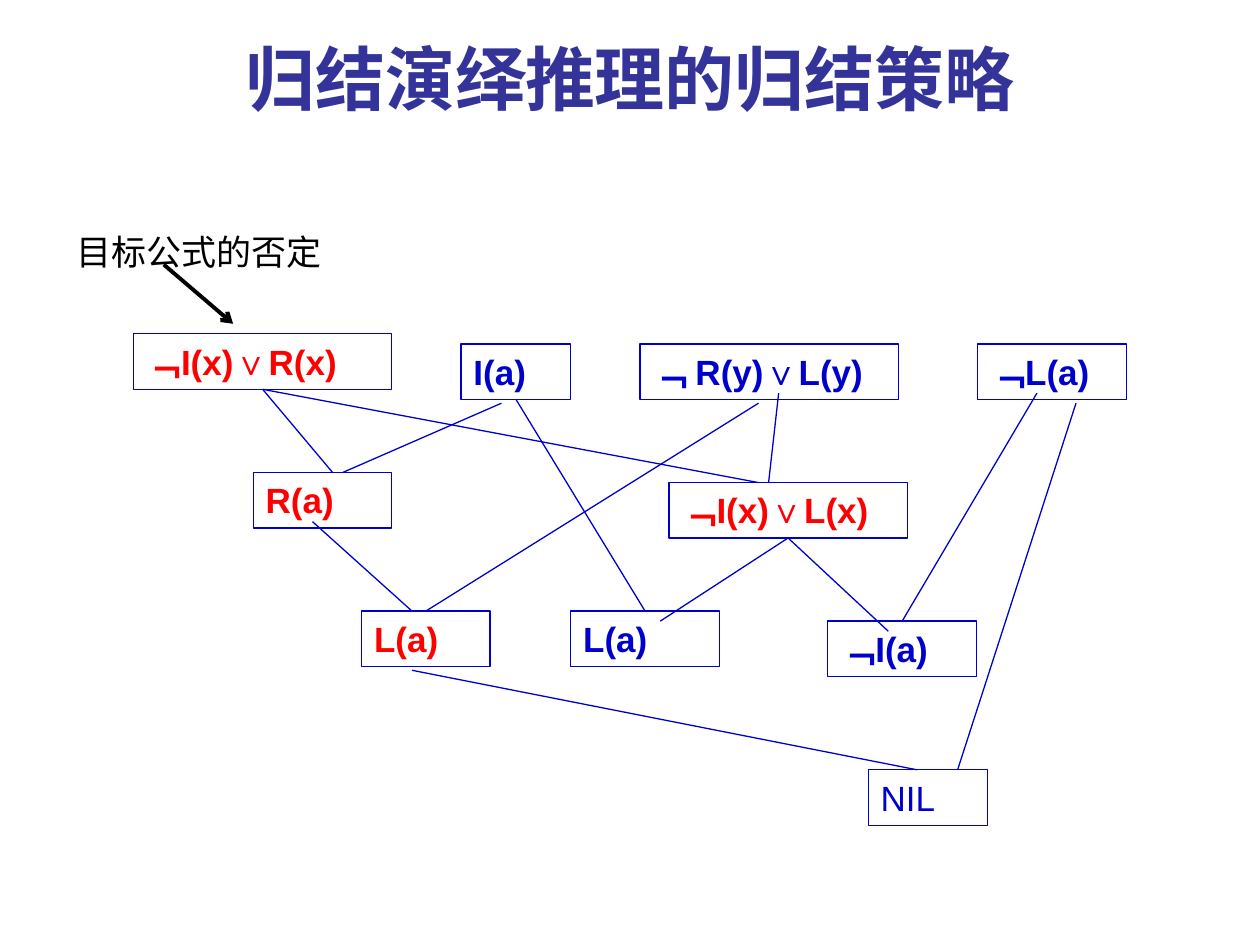
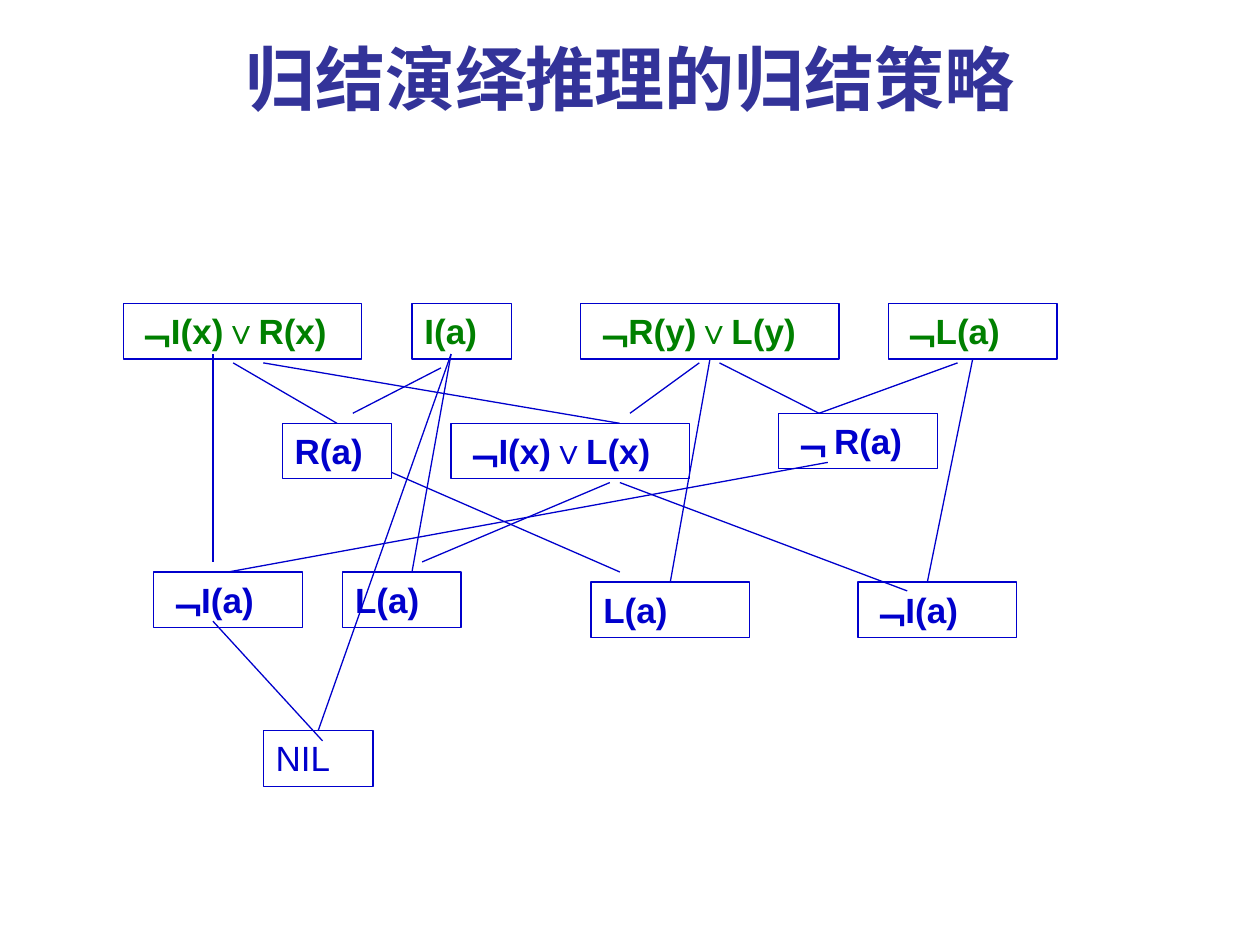
from lxml import etree
from pptx import Presentation
from pptx.dml.color import RGBColor
from pptx.enum.dml import MSO_LINE
from pptx.enum.shapes import MSO_CONNECTOR, MSO_SHAPE
from pptx.enum.text import MSO_ANCHOR, MSO_AUTO_SIZE, PP_ALIGN
from pptx.oxml.ns import qn
from pptx.util import Inches, Pt

RECTANGLE = MSO_SHAPE.RECTANGLE
STRAIGHT = MSO_CONNECTOR.STRAIGHT
SOLID = MSO_LINE.SOLID
TOP, MIDDLE = MSO_ANCHOR.TOP, MSO_ANCHOR.MIDDLE
LEFT, CENTER = PP_ALIGN.LEFT, PP_ALIGN.CENTER
GROW = MSO_AUTO_SIZE.SHAPE_TO_FIT_TEXT

COLOURS = {
    "title": "333399",
    "blue": "0000CC",
    "red": "FF0000",
    "green": "008000",
    "black": "000000",
}
TITLE = "归结演绎推理的归结策略"
BOX_HEIGHT = 0.44
JOIN_DISTANCE = 0.05
TOP_SITE, BOTTOM_SITE = 0, 2

SUPPORT_CLAUSES = [
    ("﹁I(x)∨R(x)", 1.06, 2.65, 2.05, "red"),
    ("I(a)", 3.66, 2.73, 0.87, "blue"),
    ("﹁ R(y)∨L(y)", 5.08, 2.73, 2.05, "blue"),
    ("﹁L(a)", 7.76, 2.73, 1.18, "blue"),
    ("R(a)", 2.01, 3.75, 1.1, "red"),
    ("﹁I(x)∨L(x)", 5.31, 3.83, 1.89, "red"),
    ("L(a)", 2.87, 4.85, 1.02, "red"),
    ("L(a)", 4.53, 4.85, 1.18, "blue"),
    ("﹁I(a)", 6.57, 4.93, 1.18, "blue"),
    ("NIL", 6.89, 6.11, 0.95, "blue"),
]
SUPPORT_LINKS = [
    ((2.09, 3.12), (2.64, 3.75)),
    ((3.98, 3.2), (2.72, 3.75)),
    ((2.09, 3.12), (6.02, 3.83)),
    ((6.18, 3.12), (6.1, 3.83)),
    ((2.48, 4.14), (3.27, 4.85)),
    ((6.02, 3.2), (3.43, 4.85)),
    ((4.06, 3.12), (5.08, 4.85)),
    ((6.26, 4.3), (5.24, 4.93)),
    ((6.26, 4.3), (7.05, 5.01)),
    ((8.23, 3.12), (7.13, 4.93)),
    ((3.27, 5.32), (7.28, 6.11)),
    ((8.54, 3.2), (7.6, 6.11)),
]

INPUT_CLAUSES = [
    ("﹁I(x)∨R(x)", 0.98, 2.41, 1.89, "green"),
    ("I(a)", 3.27, 2.41, 0.79, "green"),
    ("﹁R(y)∨L(y)", 4.61, 2.41, 2.05, "green"),
    ("﹁L(a)", 7.05, 2.41, 1.34, "green"),
    ("R(a)", 2.24, 3.36, 0.87, "blue"),
    ("﹁I(x)∨L(x)", 3.58, 3.36, 1.89, "blue"),
    ("﹁ R(a)", 6.18, 3.28, 1.26, "blue"),
    ("﹁I(a)", 1.22, 4.54, 1.18, "blue"),
    ("L(a)", 2.72, 4.54, 0.94, "blue"),
    ("L(a)", 4.69, 4.62, 1.26, "blue"),
    ("﹁I(a)", 6.81, 4.62, 1.26, "blue"),
    ("NIL", 2.09, 5.8, 0.87, "blue"),
]
INPUT_LINKS = [
    ((1.85, 2.88), (2.64, 3.36)),
    ((3.5, 2.92), (2.8, 3.28)),
    ((2.09, 2.88), (4.92, 3.36)),
    ((5.55, 2.88), (5, 3.28)),
    ((5.71, 2.88), (6.5, 3.28)),
    ((7.6, 2.88), (6.5, 3.28)),
    ((1.69, 2.81), (1.69, 4.46)),
    ((1.77, 4.54), (6.57, 3.67)),
    ((4.92, 3.83), (7.2, 4.69)),
    ((3.11, 3.75), (4.92, 4.54)),
    ((1.69, 4.93), (2.56, 5.88)),
    ((3.58, 2.81), (2.48, 5.8)),
    ((3.58, 2.81), (3.27, 4.54)),
    ((4.84, 3.83), (3.35, 4.46)),
    ((5.31, 4.62), (5.63, 2.88)),
    ((7.76, 2.88), (7.36, 4.62)),
]


def colour(name):
    return RGBColor.from_string(COLOURS[name])


def write_text(shape, text, size=20, font="Arial", ink="black", bold=False,
               align=LEFT, anchor=TOP, wrap=True, grow=True):
    frame = shape.text_frame
    frame.word_wrap = wrap
    frame.vertical_anchor = anchor
    if grow:
        frame.auto_size = GROW
    para = frame.paragraphs[0]
    para.alignment = align
    span = para.add_run()
    span.text = text
    span.font.name = font
    span.font.size = Pt(size)
    span.font.bold = bold
    span.font.color.rgb = colour(ink)


def add_text(page, text, left, top, width, height, **style):
    box = page.shapes.add_textbox(*map(Inches, (left, top, width, height)))
    write_text(box, text, **style)


def add_clause(page, formula, left, top, width, ink):
    box = page.shapes.add_shape(RECTANGLE, *map(Inches, (left, top, width, BOX_HEIGHT)))
    box.shadow.inherit = False
    box.fill.background()
    box.line.color.rgb = colour("blue")
    box.line.width = Pt(0.75)
    write_text(box, formula, ink=ink, bold=formula != "NIL")
    return box


def add_line(page, start, end, ink="blue", width=0.75):
    line = page.shapes.add_connector(STRAIGHT, *map(Inches, start + end))
    line.line.color.rgb = colour(ink)
    line.line.width = Pt(width)
    line.line.dash_style = SOLID
    etree.SubElement(line._element.spPr, qn("a:effectLst"))
    return line


def add_arrow(page, start, end):
    arrow = add_line(page, start, end, ink="black", width=2.25)
    etree.SubElement(arrow.line._get_or_add_ln(), qn("a:tailEnd"), type="arrow")


def find_join(boxes, point):
    x, y = map(Inches, point)
    reach = Inches(JOIN_DISTANCE)
    for box in boxes:
        if abs(box.left + box.width / 2 - x) > reach:
            continue
        for site, edge in ((TOP_SITE, box.top), (BOTTOM_SITE, box.top + box.height)):
            if abs(edge - y) <= reach:
                return box, site
    return None


def add_link(page, boxes, start, end):
    line = add_line(page, start, end)
    for point, connect in ((start, line.begin_connect), (end, line.end_connect)):
        join = find_join(boxes, point)
        if join:
            connect(*join)


def add_resolution_page(deck, clauses, links):
    page = deck.slides.add_slide(deck.slide_layouts[6])
    boxes = [add_clause(page, *clause) for clause in clauses]
    for start, end in links:
        add_link(page, boxes, start, end)
    add_text(page, TITLE, 0.5, 0, 9, 1.23, size=40, font="Times New Roman",
             ink="title", bold=True, align=CENTER, anchor=MIDDLE, grow=False)
    return page


def main():
    deck = Presentation()
    deck.slide_width, deck.slide_height = Inches(10), Inches(7.5)
    page = add_resolution_page(deck, SUPPORT_CLAUSES, SUPPORT_LINKS)
    add_text(page, "目标公式的否定", 0.51, 1.78, 2.17, 0.44, wrap=False)
    add_arrow(page, (1.3, 2.1), (1.85, 2.57))
    add_resolution_page(deck, INPUT_CLAUSES, INPUT_LINKS)
    deck.save("out.pptx")


if __name__ == "__main__":
    main()
